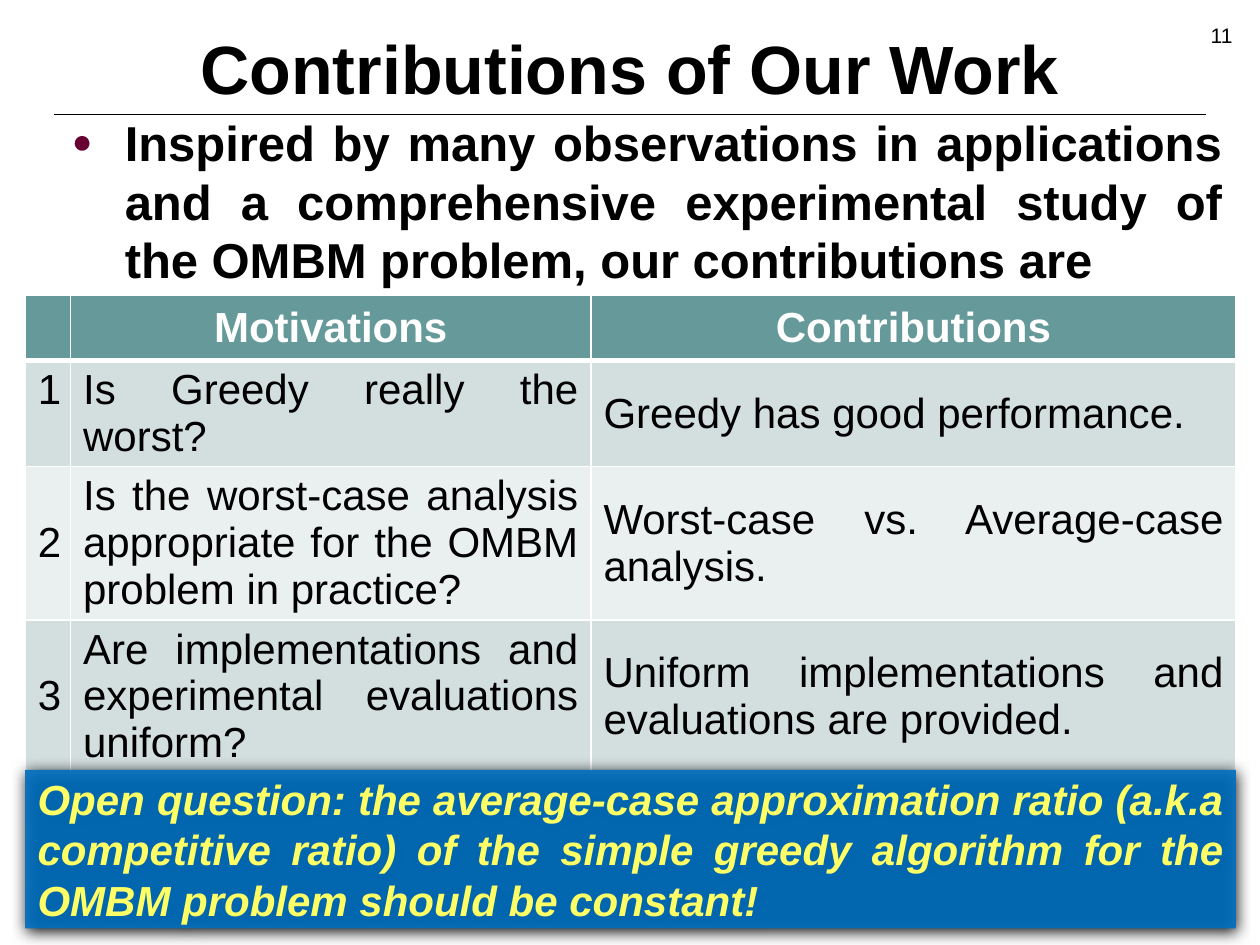
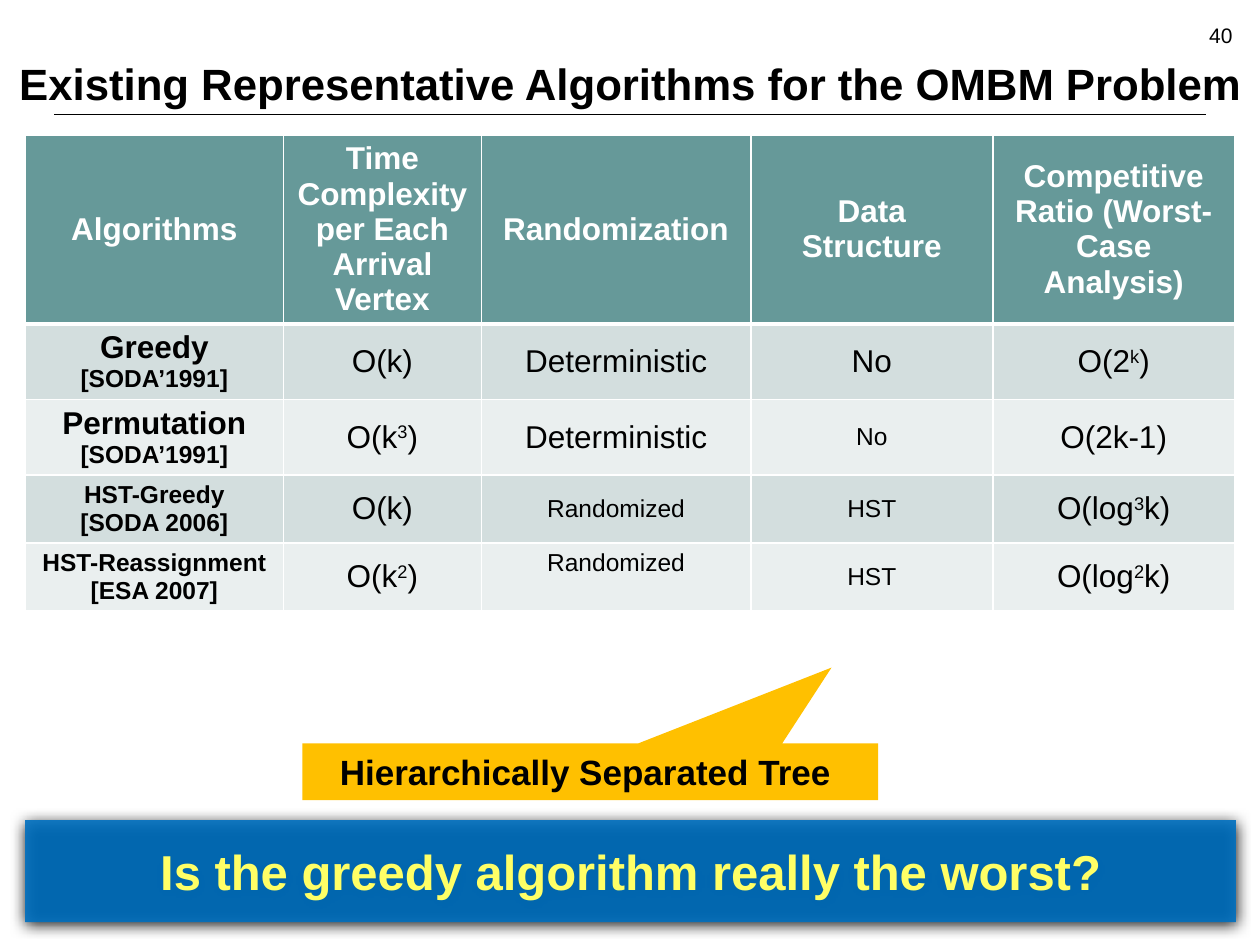
from lxml.etree import SubElement
from pptx import Presentation
from pptx.dml.color import RGBColor
from pptx.enum.shapes import MSO_CONNECTOR, MSO_SHAPE
from pptx.enum.text import MSO_ANCHOR, MSO_AUTO_SIZE, PP_ALIGN
from pptx.oxml.ns import qn
from pptx.util import Pt

SCALE = 9144
FONT = "Arial"
COLORS = {
    "ink": "000000",
    "paper": "FFFFFF",
    "teal": "669999",
    "band_dark": "D3DEDE",
    "band_light": "EAEFEF",
    "blue": "0070C0",
    "yellow": "FFFF66",
    "amber": "FFC000",
    "plum": "660033",
}
LEFT, CENTER, RIGHT, JUSTIFY = (
    PP_ALIGN.LEFT, PP_ALIGN.CENTER, PP_ALIGN.RIGHT, PP_ALIGN.JUSTIFY)
SMALL = 14

CONTRIBUTIONS = {
    "number": "11",
    "title": ("Contributions of Our Work", 39, (50, 13, 900, 78)),
    "body": "Inspired by many observations in applications and a comprehensive "
            "experimental study of the OMBM problem, our contributions are",
    "body_at": (47, 84, 933, 152),
    "table": {
        "at": (20, 234),
        "columns": (36, 413, 512),
        "rows": (52, 84, 121, 121),
        "size": 24,
        "aligns": (CENTER, JUSTIFY, JUSTIFY),
        "bold_labels": False,
        "top_cells": {(1, 0), (1, 1)},
        "cells": [
            ["", "Motivations", "Contributions"],
            ["1", "Is Greedy really the worst?", "Greedy has good performance."],
            ["2", "Is the worst-case analysis appropriate for the OMBM problem in practice?",
             "Worst-case vs. Average-case analysis."],
            ["3", "Are implementations and experimental evaluations uniform?",
             "Uniform implementations and evaluations are provided. "],
        ],
    },
    "banner": {
        "at": (20, 611, 961, 126),
        "text": "Open question: the average-case approximation ratio (a.k.a competitive "
                "ratio) of the simple greedy algorithm for the OMBM problem should be constant!",
        "format": {"size": 24, "italic": True, "align": JUSTIFY},
    },
}

ALGORITHMS = {
    "number": "40",
    "title": ("Existing Representative Algorithms for the OMBM Problem", 25, (0, 11, 1000, 81)),
    "table": {
        "at": (20, 107),
        "columns": (205, 157, 214, 192, 192),
        "rows": (149, 60, 60, 54, 53),
        "size": 18,
        "aligns": (CENTER,) * 5,
        "bold_labels": True,
        "top_cells": {(1, 0), (4, 2)},
        "cells": [
            ["Algorithms", "Time Complexity per Each Arrival Vertex", "Randomization",
             "Data Structure", "Competitive Ratio (Worst-Case Analysis)"],
            [["Greedy", ("[SODA’1991]", SMALL)], "O(k)", "Deterministic", "No", "O(2^k^)"],
            [["Permutation", ("[SODA’1991]", SMALL)], "O(k^3^)", "Deterministic",
             [("No", SMALL)], "O(2k-1)"],
            [[("HST-Greedy", SMALL), ("[SODA 2006]", SMALL)], "O(k)",
             [("Randomized", SMALL)], [("HST", SMALL)], "O(log^3^k)"],
            [[("HST-Reassignment", SMALL), ("[ESA 2007]", SMALL)], "O(k^2^)",
             [("Randomized", SMALL)], [("HST", SMALL)], "O(log^2^k)"],
        ],
    },
    "banner": {
        "at": (20, 651, 961, 81),
        "text": "Is the greedy algorithm really the worst?",
        "format": {"size": 28, "align": CENTER},
    },
    "callout": {
        "at": (240, 590, 457, 45),
        "text": "Hierarchically Separated Tree ",
        "tip": (0.419, -1.837),
    },
}


def px(*lengths):
    return [round(length * SCALE) for length in lengths]


def color(name):
    return RGBColor.from_string(COLORS[name])


def add_xml(parent, tag, **attributes):
    return SubElement(parent, qn(tag), {key: str(value) for key, value in attributes.items()})


def paint(target, name):
    target.fill.solid()
    target.fill.fore_color.rgb = color(name)


def place(shape, at):
    for name, value in zip(("left", "top", "width", "height"), px(*at)):
        setattr(shape, name, value)


def write(frame, lines, size, ink="ink", align=LEFT, anchor=MSO_ANCHOR.MIDDLE,
          bold=False, italic=False):
    frame.vertical_anchor = anchor
    frame.word_wrap = True
    for index, line in enumerate([lines] if isinstance(lines, str) else lines):
        text, line_size = (line, size) if isinstance(line, str) else line
        para = frame.add_paragraph() if index else frame.paragraphs[0]
        para.alignment = align
        look = {"name": FONT, "size": Pt(line_size), "bold": bold, "italic": italic}
        for part, piece in enumerate(text.split("^")):
            span = para.add_run()
            span.text = piece
            for name, value in look.items():
                setattr(span.font, name, value)
            span.font.color.rgb = color(ink)
            if part % 2:
                span.font._element.set("baseline", "30000")


def add_title_rule(deck, page):
    x1, y, x2 = px(43, 91, 957)
    rule = page.shapes.add_connector(MSO_CONNECTOR.STRAIGHT, x1, y, x2, y)
    rule.line.color.rgb = color("ink")
    rule.line.width = Pt(0.75)
    add_xml(rule.element.spPr, "a:effectLst")
    deck.slide_master.shapes.element.append(rule.element)


def add_body(page, text, at):
    body = page.placeholders[1]
    place(body, at)
    body.text_frame.auto_size = MSO_AUTO_SIZE.NONE
    write(body.text_frame, text, 28, align=JUSTIFY, anchor=MSO_ANCHOR.TOP, bold=True)
    properties = body.text_frame.paragraphs[0]._p.get_or_add_pPr()
    indent, = px(42)
    properties.set("marL", str(indent))
    properties.set("indent", str(-indent))
    add_xml(add_xml(properties, "a:buClr"), "a:srgbClr", val=COLORS["plum"])
    add_xml(properties, "a:buSzPct", val=70000)
    add_xml(properties, "a:buFont", typeface=FONT)
    add_xml(properties, "a:buChar", char="●")


def add_borders(cell, is_header):
    properties = cell._tc.get_or_add_tcPr()
    for side in "LRTB":
        weight = 3 if is_header and side == "B" else 1
        border = add_xml(properties, f"a:ln{side}", w=Pt(weight))
        add_xml(add_xml(border, "a:solidFill"), "a:srgbClr", val=COLORS["paper"])


def add_grid(page, data):
    columns, rows = data["columns"], data["rows"]
    table = page.shapes.add_table(
        len(rows), len(columns), *px(*data["at"], sum(columns), sum(rows))).table
    for column, width in zip(table.columns, px(*columns)):
        column.width = width
    for row, height in zip(table.rows, px(*rows)):
        row.height = height
    for r, line in enumerate(data["cells"]):
        is_header = r == 0
        band = "teal" if is_header else "band_dark" if r % 2 else "band_light"
        for c, content in enumerate(line):
            cell = table.cell(r, c)
            add_borders(cell, is_header)
            paint(cell, band)
            write(cell.text_frame, content, data["size"],
                  ink="paper" if is_header else "ink",
                  align=CENTER if is_header else data["aligns"][c],
                  bold=is_header or (data["bold_labels"] and c == 0))
            top = (r, c) in data["top_cells"]
            cell.vertical_anchor = MSO_ANCHOR.TOP if top else MSO_ANCHOR.MIDDLE


def add_block(page, preset, at, fill):
    block = page.shapes.add_shape(preset, *px(*at))
    block.shadow.inherit = False
    paint(block, fill)
    block.line.fill.background()
    return block


def add_banner(page, data):
    banner = add_block(page, MSO_SHAPE.RECTANGLE, data["at"], "blue")
    properties = banner.element.spPr
    add_xml(properties.find(".//" + qn("a:srgbClr")), "a:alpha", val=90000)
    shadow = add_xml(properties.find(qn("a:effectLst")), "a:outerShdw",
                     blurRad=Pt(8.5), dist=Pt(1), dir=5400000, algn="t", rotWithShape=0)
    add_xml(shadow, "a:srgbClr", val=COLORS["ink"])
    write(banner.text_frame, data["text"], ink="yellow", bold=True, **data["format"])


def add_callout(page, data):
    callout = add_block(page, MSO_SHAPE.RECTANGULAR_CALLOUT, data["at"], "amber")
    for index, value in enumerate(data["tip"]):
        callout.adjustments[index] = value
    write(callout.text_frame, data["text"], 20, align=CENTER, bold=True)


def add_page(deck, content):
    layout = deck.slide_layouts[1 if "body" in content else 5]
    page = deck.slides.add_slide(layout)
    text, size, at = content["title"]
    title = page.shapes.title
    place(title, at)
    title.text_frame.auto_size = MSO_AUTO_SIZE.NONE
    write(title.text_frame, text, size, align=CENTER, anchor=MSO_ANCHOR.BOTTOM, bold=True)
    if "body" in content:
        add_body(page, content["body"], content["body_at"])
    add_grid(page, content["table"])
    number = page.shapes.add_textbox(*px(755, 13, 233, 28))
    write(number.text_frame, content["number"], 12, align=RIGHT, anchor=MSO_ANCHOR.TOP)
    add_banner(page, content["banner"])
    if "callout" in content:
        add_callout(page, content["callout"])
    return page


def main():
    deck = Presentation()
    deck.slide_width, deck.slide_height = px(1000, 750)
    pages = [add_page(deck, content) for content in (CONTRIBUTIONS, ALGORITHMS)]
    add_title_rule(deck, pages[0])
    deck.save("out.pptx")


if __name__ == "__main__":
    main()
